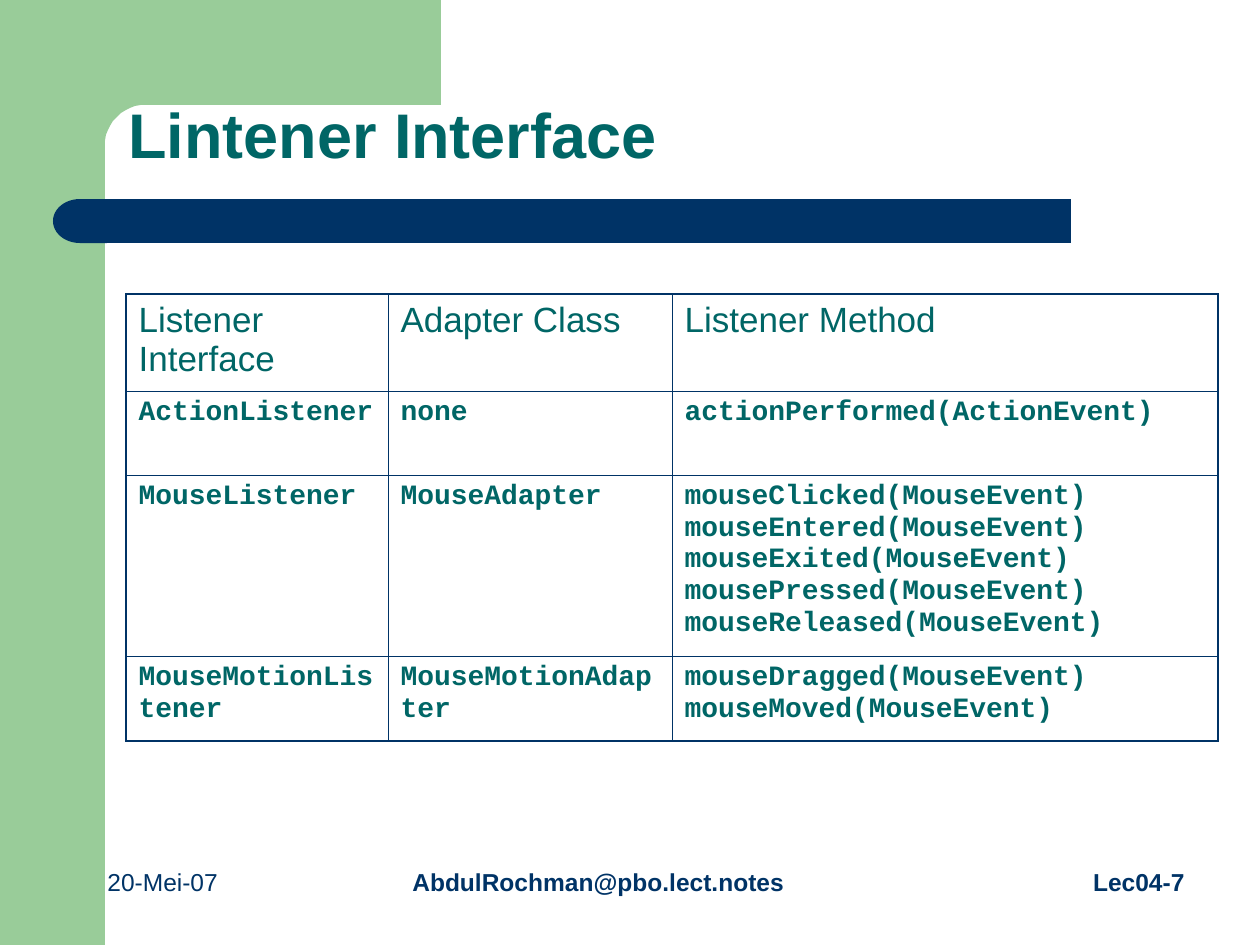
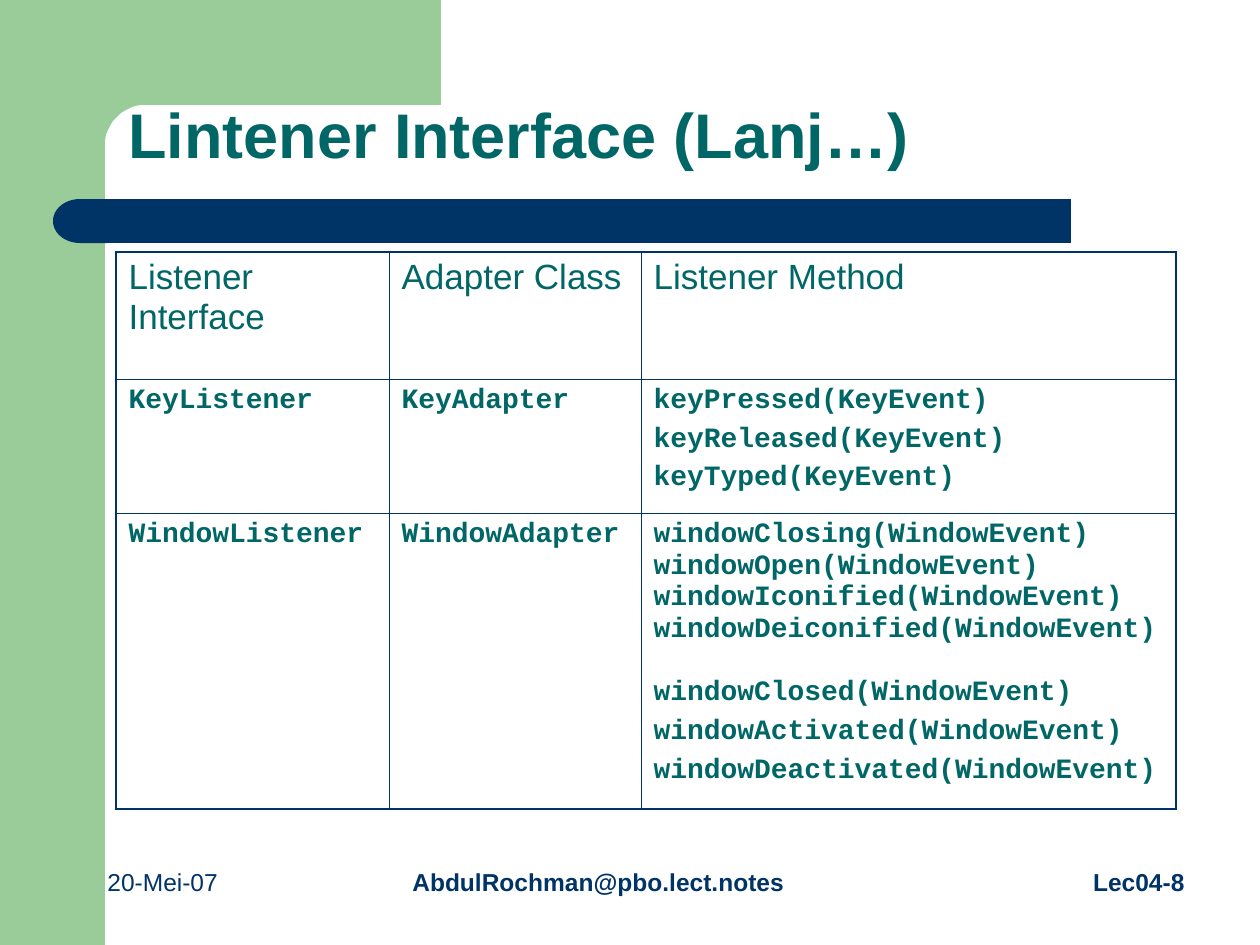
from math import cos, pi, sin

from lxml import etree
from pptx import Presentation
from pptx.dml.color import RGBColor
from pptx.enum.shapes import MSO_SHAPE
from pptx.enum.text import MSO_ANCHOR, PP_ALIGN
from pptx.oxml.ns import qn
from pptx.util import Emu, Pt

EMU_PER_PX = 914400 / 126
SLIDE_W, SLIDE_H = 1260, 945

GREEN = RGBColor(0x99, 0xCC, 0x99)
NAVY = RGBColor(0x00, 0x33, 0x66)
TEAL = RGBColor(0x00, 0x66, 0x66)
SANS, MONO = "Arial", "Courier New"

OUTER_LINE, INNER_LINE = Pt(1.08), Pt(0.45)
TIGHT, LOOSE, ONE_LINE = 0, 4, 18  # points before a method name

DATE = "20-Mei-07"
LECTURER = "AbdulRochman@pbo.lect.notes"
HEADINGS = ("Listener Interface", "Adapter Class", "Listener Method")

# Each listener: interface, adapter, methods as (space before, name)
LESSONS = [
    {
        "title": "Lintener Interface",
        "page": "Lec04-7",
        "corner": (126, 294),
        "columns": (262, 284, 546),
        "rows": (97, 84, 181, 85),
        "listeners": [
            ("ActionListener", "none", [(TIGHT, "actionPerformed(ActionEvent)")]),
            ("MouseListener", "MouseAdapter", [
                (TIGHT, "mouseClicked(MouseEvent)"),
                (TIGHT, "mouseEntered(MouseEvent)"),
                (TIGHT, "mouseExited(MouseEvent)"),
                (TIGHT, "mousePressed(MouseEvent)"),
                (TIGHT, "mouseReleased(MouseEvent)"),
            ]),
            ("MouseMotionListener", "MouseMotionAdapter", [
                (TIGHT, "mouseDragged(MouseEvent)"),
                (TIGHT, "mouseMoved(MouseEvent)"),
            ]),
        ],
    },
    {
        "title": "Lintener Interface (Lanj…)",
        "page": "Lec04-8",
        "corner": (116, 252),
        "columns": (273, 252, 535),
        "rows": (127, 134, 296),
        "listeners": [
            ("KeyListener", "KeyAdapter", [
                (TIGHT, "keyPressed(KeyEvent)"),
                (LOOSE, "keyReleased(KeyEvent)"),
                (LOOSE, "keyTyped(KeyEvent)"),
            ]),
            ("WindowListener", "WindowAdapter", [
                (TIGHT, "windowClosing(WindowEvent)"),
                (TIGHT, "windowOpen(WindowEvent)"),
                (TIGHT, "windowIconified(WindowEvent)"),
                (TIGHT, "windowDeiconified(WindowEvent)"),
                (ONE_LINE, "windowClosed(WindowEvent)"),
                (LOOSE, "windowActivated(WindowEvent)"),
                (LOOSE, "windowDeactivated(WindowEvent)"),
            ]),
        ],
    },
]


def px(*lengths):
    return [Emu(round(length * EMU_PER_PX)) for length in lengths]


def paint(shape, color):
    shape.shadow.inherit = False
    shape.fill.solid()
    shape.fill.fore_color.rgb = color
    shape.line.fill.background()


def add_band(slide, kind, box, color):
    band = slide.shapes.add_shape(kind, *px(*box))
    paint(band, color)
    return band


def add_run(paragraph, text, size, color, bold=False, face=SANS):
    run = paragraph.add_run()
    run.text = text
    font = run.font
    font.name, font.size, font.bold = face, Pt(size), bold
    font.color.rgb = color


def add_label(slide, box, text, size, color, bold=True,
              align=PP_ALIGN.LEFT, anchor=MSO_ANCHOR.TOP):
    frame = slide.shapes.add_textbox(*px(*box)).text_frame
    frame.word_wrap = True
    frame.vertical_anchor = anchor
    paragraph = frame.paragraphs[0]
    paragraph.alignment = align
    add_run(paragraph, text, size, color, bold)
    return paragraph


def add_backdrop(slide):
    """Draw the green side with its rounded inner corner and the navy bar."""
    side, top, radius = 105, 105, 41
    add_band(slide, MSO_SHAPE.RECTANGLE, (0, 0, side, SLIDE_H), GREEN)

    steps = 12
    angles = [pi / 2 * step / steps for step in range(steps + 1)]
    curve = [(side + radius * (1 - sin(a)), top + radius * (1 - cos(a)))
             for a in angles]
    outline = slide.shapes.build_freeform(441, 0, scale=EMU_PER_PX)
    outline.add_line_segments(
        [(441, top), *curve, (side, 161), (63, 161), (63, 0)], close=True)
    paint(outline.convert_to_shape(), GREEN)

    add_band(slide, MSO_SHAPE.RECTANGLE, (side, 199, 966, 44), NAVY)
    bar_end = add_band(slide, MSO_SHAPE.FLOWCHART_DELAY, (53, 199, 54, 44), NAVY)
    bar_end._element.spPr.find(qn("a:xfrm")).set("flipH", "1")


def add_footer(slide, page):
    add_label(slide, (400, 861, 451, 43), LECTURER, 14, NAVY)
    add_label(slide, (95, 861, 294, 43), DATE, 14, NAVY, bold=False)
    add_label(slide, (903, 861, 294, 66), page, 14, NAVY, align=PP_ALIGN.RIGHT)


def set_borders(cell, outer_sides):
    properties = cell._tc.get_or_add_tcPr()
    for side in "LRTB":
        width = OUTER_LINE if side in outer_sides else INNER_LINE
        line = etree.SubElement(properties, qn(f"a:ln{side}"), w=str(int(width)))
        fill = etree.SubElement(line, qn("a:solidFill"))
        etree.SubElement(fill, qn("a:srgbClr"), val=str(NAVY))


def fill_cell(cell, lines, **style):
    frame = cell.text_frame
    for number, (gap, text) in enumerate(lines):
        paragraph = frame.add_paragraph() if number else frame.paragraphs[0]
        paragraph.space_before = Pt(gap)
        add_run(paragraph, text, color=TEAL, **style)


def add_listener_table(slide, lesson):
    columns, rows = lesson["columns"], lesson["rows"]
    box = px(*lesson["corner"], sum(columns), sum(rows))
    table = slide.shapes.add_table(len(rows), len(columns), *box).table
    table.first_row = table.horz_banding = False
    for column, width in zip(table.columns, px(*columns)):
        column.width = width
    for row, height in zip(table.rows, px(*rows)):
        row.height = height

    content = [[[(TIGHT, heading)] for heading in HEADINGS]]
    for interface, adapter, methods in lesson["listeners"]:
        content.append([[(TIGHT, interface)], [(TIGHT, adapter)], methods])

    last_row, last_column = len(rows) - 1, len(columns) - 1
    for r, row_content in enumerate(content):
        style = {"size": 16, "bold": True, "face": MONO} if r else {"size": 20}
        for c, lines in enumerate(row_content):
            cell = table.cell(r, c)
            cell.margin_left, cell.margin_right = px(12.6, 12.6)
            cell.margin_top, cell.margin_bottom = px(6.3, 6.3)
            edges = {"L": c == 0, "R": c == last_column,
                     "T": r == 0, "B": r == last_row}
            set_borders(cell, [side for side, outer in edges.items() if outer])
            cell.fill.background()
            fill_cell(cell, lines, **style)


def main():
    deck = Presentation()
    deck.slide_width, deck.slide_height = px(SLIDE_W, SLIDE_H)
    blank = deck.slide_layouts[6]
    for lesson in LESSONS:
        slide = deck.slides.add_slide(blank)
        add_backdrop(slide)
        add_footer(slide, lesson["page"])
        title = add_label(slide, (116, 32, 1071, 146), lesson["title"], 36, TEAL,
                          anchor=MSO_ANCHOR.BOTTOM)
        title.line_spacing = 0.9
        add_listener_table(slide, lesson)
    deck.save("out.pptx")


if __name__ == "__main__":
    main()
